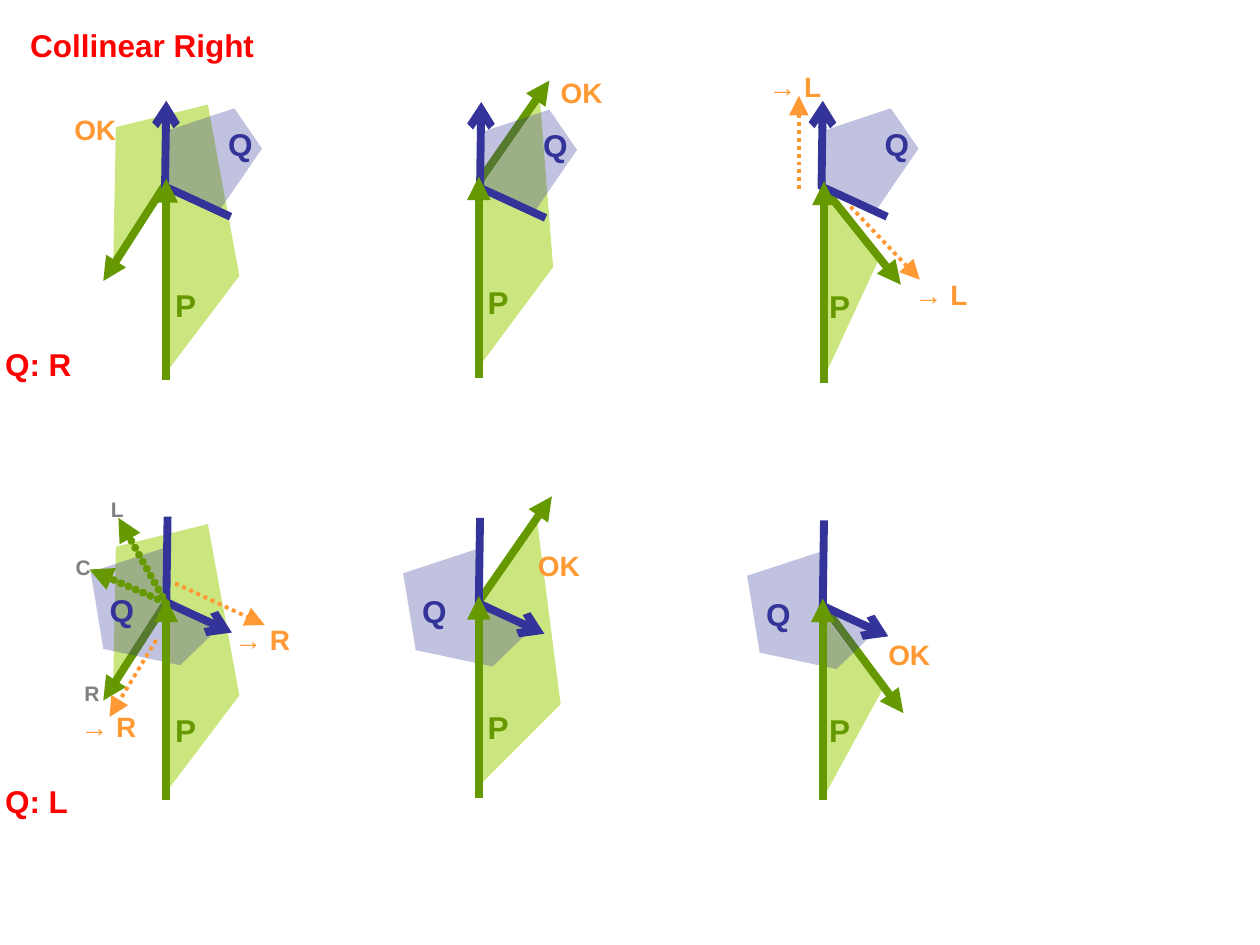
from dataclasses import dataclass

from lxml.etree import SubElement
from pptx import Presentation
from pptx.dml.color import RGBColor
from pptx.enum.dml import MSO_LINE_DASH_STYLE as Dash
from pptx.enum.shapes import MSO_CONNECTOR_TYPE as ConnectorType
from pptx.enum.text import MSO_AUTO_SIZE as AutoSize
from pptx.oxml.ns import qn
from pptx.util import Inches, Pt


@dataclass(frozen=True)
class Theme:
    font: str = "Arial"
    red: str = "FF0000"
    p_fill: str = "99CC00"
    p_line: str = "669900"
    q_color: str = "333399"
    orange: str = "FF9933"
    gray: str = "808080"
    large: int = 18
    medium: int = 16
    small: int = 12
    thick: float = 4.5
    thin: float = 2.25


THEME = Theme()
Q_LINE = [(0.01, -0.68), (0, 0), (0.52, 0.24)]
Q_WEDGE = [(0.01, -0.44), (0, -0.04), (0.44, 0.18)]
Q_SIDES = {
    "R": dict(area=Q_WEDGE + [(0.77, -0.3), (0.55, -0.62)], label=(0.5, -0.49), end="headEnd"),
    "L": dict(area=Q_WEDGE + [(0.11, 0.5), (-0.5, 0.37), (-0.6, -0.24)], label=(-0.45, -0.09), end="tailEnd"),
}
P_LEFT = [(-0.01, 1.55), (-0.01, 0.08), (-0.42, 0.63), (-0.4, -0.41), (0.33, -0.59), (0.58, 0.77)]
LEFT_TURN = [(0, 0.03), (-0.5, 0.81)]
PANELS = [
    dict(side="R", tip=(1.32, 1.42), corner=(1.31, 1.48), area=P_LEFT, turn=LEFT_TURN, label=(1.39, 2.27)),
    dict(side="R", tip=(3.8, 1.4), corner=(3.81, 1.49), label=(3.87, 2.25),
         area=[(0.01, 1.5), (-0.01, 0.04), (0.48, -0.68), (0.59, 0.72)],
         turn=[(0.01, 0.03), (0.56, -0.76)]),
    dict(side="R", tip=(6.54, 1.44), corner=(6.52, 1.48), label=(6.58, 2.28),
         area=[(-0.01, 1.58), (-0.01, 0.07), (0.43, 0.63)],
         turn=[(-0.02, 0.03), (0.61, 0.82)]),
    dict(side="L", tip=(1.32, 4.75), corner=(1.32, 4.78), area=P_LEFT, turn=LEFT_TURN, label=(1.39, 5.64)),
    dict(side="L", tip=(3.8, 4.73), corner=(3.8, 4.79), label=(3.87, 5.62),
         area=[(0.01, 1.5), (-0.01, 0.02), (0.46, -0.62), (0.65, 0.86)],
         turn=[(0.01, 0.03), (0.58, -0.79)]),
    dict(side="L", tip=(6.53, 4.75), corner=(6.53, 4.81), label=(6.58, 5.64),
         area=[(0, 1.59), (-0.01, 0.11), (0.47, 0.73)],
         turn=[(-0.01, 0.04), (0.64, 0.91)]),
]
HINT_ARROWS = [
    [(6.75, 1.64), (7.3, 2.22)], [(6.34, 1.5), (6.34, 0.76)],
    [(1.24, 5.08), (0.87, 5.69)], [(1.39, 4.63), (2.1, 4.96)],
]
CASE_ARROWS = [[(1.31, 4.78), (0.71, 4.52)], [(1.32, 4.79), (0.94, 4.11)]]
HEADINGS = [("Collinear Right", 0.24, 0.21, 1.8), ("Q: R", 0.04, 2.74, 0.55), ("Q: L", 0.04, 6.21, 0.52)]
HINTS = [
    ("OK", 0.59, 0.89, 0.36), ("OK", 4.45, 0.6, 0.36), ("OK", 7.05, 5.06, 0.36), ("OK", 4.27, 4.35, 0.36),
    ("→ L", 7.26, 2.2, 0.45), ("→ L", 6.1, 0.55, 0.45),
    ("→ R", 0.64, 5.63, 0.47), ("→ R", 1.86, 4.94, 0.47),
]
CASES = [("C", 0.6, 4.4, 0.13), ("R", 0.67, 5.4, 0.13), ("L", 0.88, 3.94, 0.11)]


def set_values(target, values):
    for name, value in values.items():
        setattr(target, name, value)


def shifted(points, origin):
    return [(x + origin[0], y + origin[1]) for x, y in points]


def add_label(slide, text, left, top, width, size, color):
    height = size / 60
    box = slide.shapes.add_textbox(Inches(left), Inches(top), Inches(width), Inches(height))
    frame = box.text_frame
    set_values(frame, dict(margin_left=0, margin_right=0, margin_top=0, margin_bottom=0,
                           word_wrap=False, auto_size=AutoSize.NONE))
    run = frame.paragraphs[0].add_run()
    run.text = text
    set_values(run.font, dict(name=THEME.font, size=Pt(size), bold=True))
    run.font.color.rgb = RGBColor.from_string(color)


def add_outline(slide, points, close):
    corners = [(Inches(x), Inches(y)) for x, y in points]
    builder = slide.shapes.build_freeform(*corners[0], scale=1.0)
    builder.add_line_segments(corners[1:], close=close)
    shape = builder.convert_to_shape()
    shape.shadow.inherit = False
    return shape


def add_area(slide, points, color, opacity):
    shape = add_outline(slide, points, True)
    shape.fill.solid()
    shape.fill.fore_color.rgb = RGBColor.from_string(color)
    color_element = shape.fill._xPr.find(qn("a:solidFill"))[0]
    SubElement(color_element, qn("a:alpha"), val=str(opacity * 1000))
    shape.line.fill.background()


def style_line(shape, color, width, end, head, head_size="med"):
    shape.line.color.rgb = RGBColor.from_string(color)
    shape.line.width = Pt(width)
    SubElement(shape.line._get_or_add_ln(), qn(f"a:{end}"), type=head, w=head_size, len=head_size)


def add_arrow(slide, points, color, width, dash=None, dotted=False, head_size="med"):
    (x1, y1), (x2, y2) = points
    arrow = slide.shapes.add_connector(
        ConnectorType.STRAIGHT, Inches(x1), Inches(y1), Inches(x2), Inches(y2))
    if dash:
        arrow.line.dash_style = dash
    arrow.line.color.rgb = RGBColor.from_string(color)
    if dotted:
        line = arrow.line._get_or_add_ln()
        line.set("cap", "rnd")
        pattern = SubElement(line, qn("a:custDash"))
        SubElement(pattern, qn("a:ds"), d="1000", sp="100000")
    style_line(arrow, color, width, "tailEnd", "triangle", head_size)
    SubElement(arrow._element.spPr, qn("a:effectLst"))


def add_panel(slide, side, tip, corner, area, turn, label):
    add_area(slide, shifted(area, tip), THEME.p_fill, 50)
    add_label(slide, "P", *label, 0.18, THEME.large, THEME.p_line)
    add_arrow(slide, shifted(turn, tip), THEME.p_line, THEME.thick)
    q_side = Q_SIDES[side]
    chain = add_outline(slide, shifted(Q_LINE, corner), False)
    chain.fill.background()
    style_line(chain, THEME.q_color, THEME.thick, q_side["end"], "arrow")
    add_area(slide, shifted(q_side["area"], corner), THEME.q_color, 30)
    q_label = shifted([q_side["label"]], corner)[0]
    add_label(slide, "Q", *q_label, 0.21, THEME.large, THEME.q_color)


def main():
    presentation = Presentation()
    set_values(presentation, dict(slide_width=Inches(10), slide_height=Inches(7.5)))
    slide = presentation.slides.add_slide(presentation.slide_layouts[6])
    for panel in PANELS:
        add_panel(slide, **panel)
    for points in HINT_ARROWS:
        add_arrow(slide, points, THEME.orange, THEME.thin, dash=Dash.ROUND_DOT, head_size="lg")
    for points in CASE_ARROWS:
        add_arrow(slide, points, THEME.p_line, THEME.thick, dotted=True)
    for labels, size, color in [(HEADINGS, THEME.large, THEME.red),
                                (HINTS, THEME.medium, THEME.orange),
                                (CASES, THEME.small, THEME.gray)]:
        for label in labels:
            add_label(slide, *label, size, color)
    for panel in PANELS:
        add_arrow(slide, shifted([(0, 1.6), (0, 0)], panel["tip"]), THEME.p_line, THEME.thick)
    presentation.save("out.pptx")


main()
